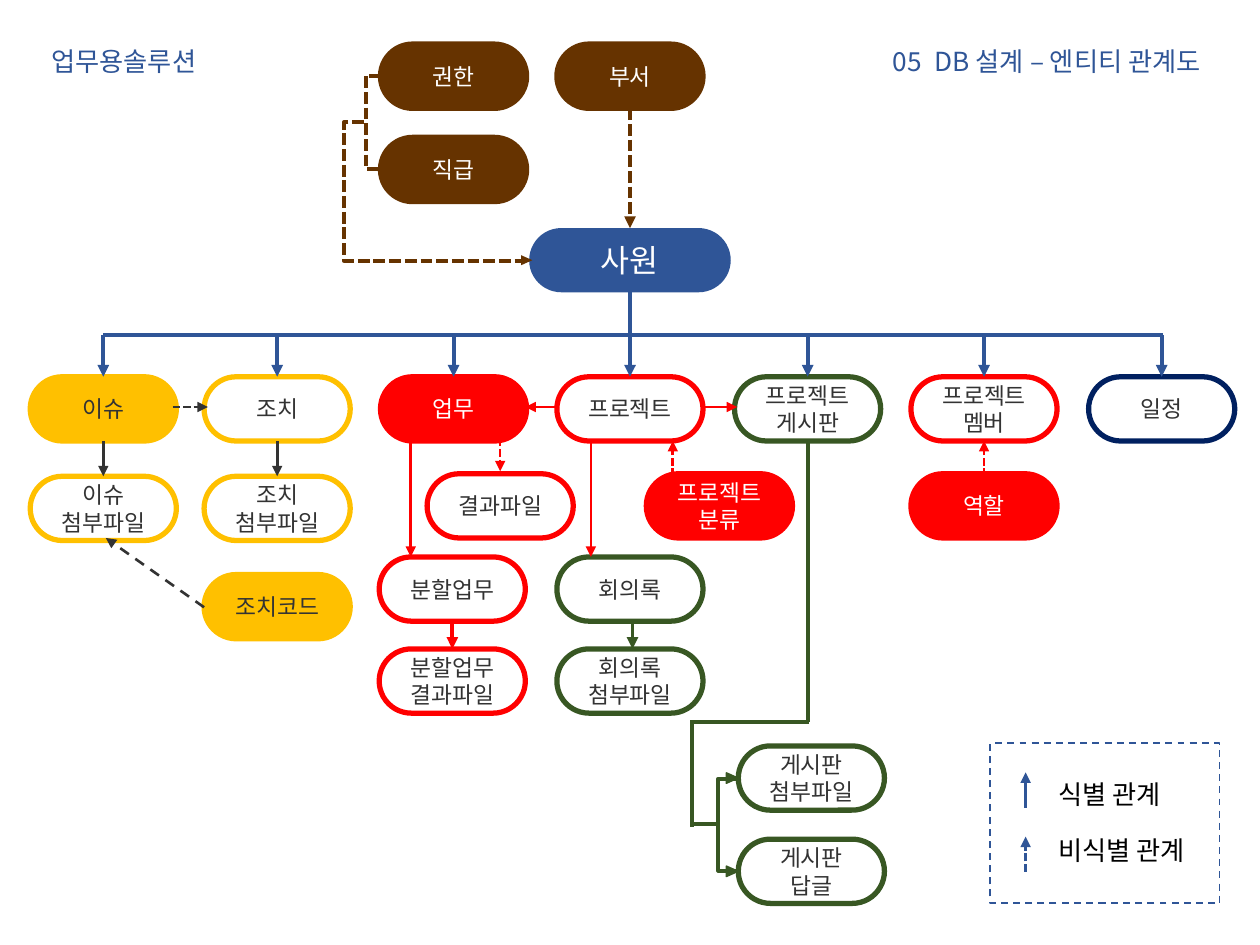
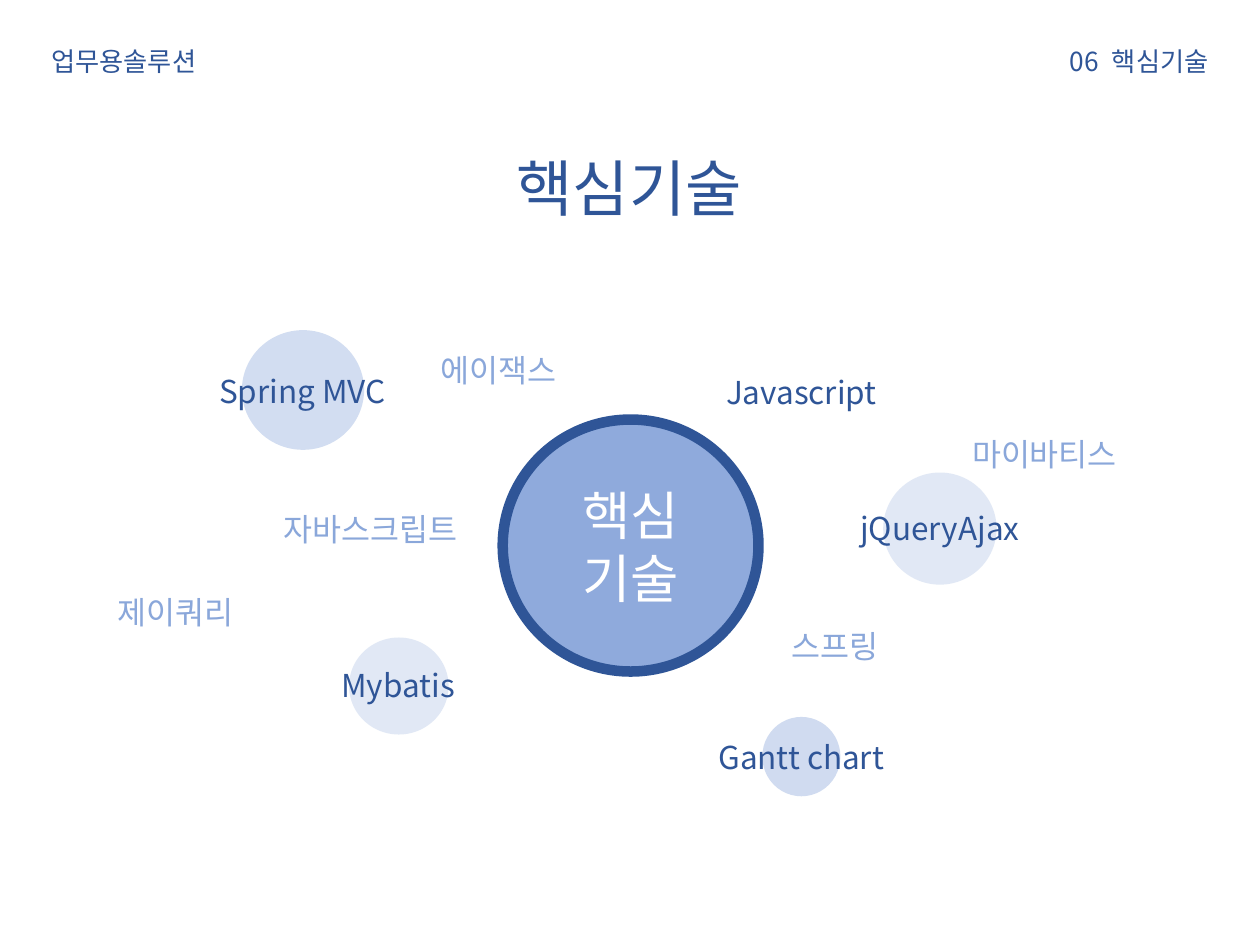
from dataclasses import dataclass
from lxml import etree
from pptx import Presentation
from pptx.dml.color import RGBColor
from pptx.enum import dml, shapes, text
from pptx.oxml.ns import qn
from pptx.util import Inches, Pt

SHAPE = shapes.MSO_SHAPE
LINK = shapes.MSO_CONNECTOR
ALIGN = text.PP_ALIGN
ANCHOR = text.MSO_ANCHOR
DASH = dml.MSO_LINE.DASH
DOTS = dml.MSO_LINE.SQUARE_DOT


@dataclass(frozen=True)
class Theme:
    font: str = "Noto Sans CJK KR"
    blue: str = "2F5597"
    sky: str = "8AA7DA"
    disc: str = "8FAADC"
    pale: str = "B4C7E7"
    navy: str = "002060"
    red: str = "FF0000"
    gold: str = "FFC000"
    green: str = "385723"
    brown: str = "663300"
    dark: str = "333333"
    black: str = "000000"
    white: str = "FFFFFF"
    label: int = 13
    head: int = 15
    term: int = 18
    core: int = 30
    title: int = 35
    thin: float = 1.5
    thick: float = 2.25


T = Theme()
NODE = (1.16, 0.51)
COLS = (0, 1.38, 2.78, 4.18, 5.59, 6.99, 8.4)
MID = NODE[0] / 2


def style(frame, size, color, align):
    for para in frame.paragraphs:
        para.alignment = align
        for run in para.runs:
            run.font.name = T.font
            run.font.size = Pt(size)
            run.font.color.rgb = RGBColor.from_string(color)
            east = etree.SubElement(run.font._element, qn("a:ea"))
            east.set("typeface", T.font)


class Pen:
    def __init__(self, slide, box):
        self.slide = slide
        self.left, self.top, self.width, self.height = box

    def place(self, x, y):
        return Inches(self.left + x), Inches(self.top + y)

    def shape(self, kind, x, y, w, h, fill=None, edge=None, weight=3, alpha=None):
        item = self.slide.shapes.add_shape(kind, *self.place(x, y), Inches(w), Inches(h))
        item.shadow.inherit = False
        if fill:
            item.fill.solid()
            item.fill.fore_color.rgb = RGBColor.from_string(fill)
        else:
            item.fill.background()
        if alpha:
            tint = item._element.spPr.find(".//" + qn("a:srgbClr"))
            etree.SubElement(tint, qn("a:alpha")).set("val", str(alpha * 1000))
        if edge:
            item.line.color.rgb = RGBColor.from_string(edge)
            item.line.width = Pt(weight)
        else:
            item.line.fill.background()
        return item

    def label(self, item, words, size, color):
        frame = item.text_frame
        frame.text = words
        frame.word_wrap = True
        frame.vertical_anchor = ANCHOR.MIDDLE
        style(frame, size, color, ALIGN.CENTER)

    def node(self, words, x, y, edge, full=False):
        item = self.shape(SHAPE.ROUNDED_RECTANGLE, x, y, *NODE, edge if full else T.white, edge)
        item.adjustments[0] = 0.5
        bright = full and edge != T.gold
        self.label(item, words, T.label, T.white if bright else T.dark)

    def note(self, words, x, y, w, h, size, color, align=ALIGN.LEFT):
        item = self.slide.shapes.add_textbox(*self.place(x, y), Inches(w), Inches(h))
        item.text_frame.word_wrap = True
        item.text_frame.text = words
        style(item.text_frame, size, color, align)
        return item.text_frame

    def title(self, words, x, y, w, h, size, align):
        item = self.slide.shapes.title
        item.left, item.top = self.place(x, y)
        item.width, item.height = Inches(w), Inches(h)
        frame = item.text_frame
        frame.text = words
        frame.word_wrap = True
        frame.auto_size = text.MSO_AUTO_SIZE.NONE
        frame.vertical_anchor = ANCHOR.TOP
        style(frame, size, T.blue, align)
        return frame

    def line(self, start, end, color, weight=T.thin, dash=None, tail=True, bend=None):
        kind = LINK.STRAIGHT if bend is None else LINK.ELBOW
        item = self.slide.shapes.add_connector(kind, *self.place(*start), *self.place(*end))
        item.line.color.rgb = RGBColor.from_string(color)
        item.line.width = Pt(weight)
        if dash:
            item.line.dash_style = dash
        props = item._element.spPr
        if tail:
            etree.SubElement(props.find(qn("a:ln")), qn("a:tailEnd")).set("type", "triangle")
        etree.SubElement(props, qn("a:effectLst"))
        if bend is not None:
            ratio = round((bend - start[0]) / (end[0] - start[0]) * 100000)
            guide = etree.SubElement(props.find(".//" + qn("a:avLst")), qn("a:gd"))
            guide.set("name", "adj1")
            guide.set("fmla", f"val {ratio}")

    def tip(self, x, y, color, edge=None):
        item = self.shape(SHAPE.ISOSCELES_TRIANGLE, x, y, 0.08, 0.09, color, edge, 1)
        item.rotation = 90


def header(slide, box, number, topic, main=False):
    pen = Pen(slide, box)
    pen.note("업무용솔루션", 0, 0, 2.94, box[3], T.head, T.blue)
    words = f"{number} {topic}"
    spot = (box[2] - 2.94, 0, 2.94, box[3], T.head)
    if main:
        frame = pen.title(words, *spot, ALIGN.RIGHT)
    else:
        frame = pen.note(words, *spot, T.blue, ALIGN.RIGHT)
    para = frame.paragraphs[0]
    para.clear()
    for part in (number, " ", topic):
        para.add_run().text = part
    style(frame, T.head, T.blue, ALIGN.RIGHT)
    para.runs[1].font._element.set("spc", "400")


def staff(slide, box):
    pen = Pen(slide, box)
    for words, x, y in (("권한", 0.3, 0), ("직급", 0.3, 0.74), ("부서", 1.7, 0)):
        pen.node(words, x, y, T.brown, True)
    hub = pen.shape(SHAPE.ROUNDED_RECTANGLE, 1.48, 1.46, 1.6, 0.51, T.blue)
    hub.adjustments[0] = 0.5
    pen.label(hub, "사원", T.term, T.white)
    pen.line((0.3, 0.25), (0.29, 0.99), T.brown, T.thick, DOTS, False, 0.18)
    pen.line((0.17, 0.62), (1.48, 1.72), T.brown, T.thick, DOTS, False, 0.01)
    pen.tip(1.42, 1.67, T.brown)
    pen.line((2.28, 0.51), (2.28, 1.46), T.brown, T.thick, DOTS)


def tree(slide, box):
    pen = Pen(slide, box)
    heads = (
        ("이슈", T.gold, True), ("조치", T.gold, False), ("업무", T.red, True),
        ("프로젝트", T.red, False), ("프로젝트\n게시판", T.green, False),
        ("프로젝트\n멤버", T.red, False), ("일정", T.navy, False),
    )
    for x, (words, color, full) in zip(COLS, heads):
        pen.node(words, x, 0.33, color, full)
    leaves = (
        ("이슈\n첨부파일", COLS[0], 1.12, T.gold, False),
        ("조치\n첨부파일", COLS[1], 1.12, T.gold, False),
        ("조치코드", COLS[1], 1.9, T.gold, True),
        ("역할", COLS[5], 1.1, T.red, True),
        ("결과파일", 3.15, 1.1, T.red, False),
        ("프로젝트\n분류", 4.89, 1.1, T.red, True),
        ("분할업무", 2.77, 1.76, T.red, False),
        ("분할업무\n결과파일", 2.77, 2.49, T.red, False),
        ("회의록", COLS[3], 1.76, T.green, False),
        ("회의록\n첨부파일", COLS[3], 2.49, T.green, False),
        ("게시판\n첨부파일", 5.62, 3.26, T.green, False),
        ("게시판\n답글", 5.62, 4, T.green, False),
    )
    for leaf in leaves:
        pen.node(*leaf)

    for x in COLS[:2]:
        pen.line((x + MID, 0.84), (x + MID, 1.12), T.dark)
    pen.line((1.38, 2.16), (0.6, 1.61), T.dark, dash=DASH)
    pen.line((1.13, 0.57), (1.41, 0.57), T.dark, dash=DOTS)
    for start, end in (((4.2, 0.57), (3.93, 0.57)), ((5.33, 0.57), (5.61, 0.57)),
                       ((4.45, 0.84), (4.45, 1.76)), ((3.02, 0.84), (3.02, 1.76))):
        pen.line(start, end, T.red)
    for x, y, end in ((7.57, 1.12, 0.84), (5.1, 1.12, 0.84), (3.73, 0.82, 1.08)):
        pen.line((x, y), (x, end), T.red, dash=DOTS)
    for x, color in ((3.35, T.red), (4.78, T.green)):
        pen.line((x, 2.27), (x, 2.49), color, T.thick)

    for start, end in (((6.17, 0.84), (6.17, 3.07)), ((6.18, 3.07), (5.24, 3.07)),
                       ((5.25, 3.07), (5.25, 3.9)), ((5.25, 3.88), (5.47, 3.88))):
        pen.line(start, end, T.green, T.thick, tail=False)
    pen.line((5.62, 3.52), (5.61, 4.25), T.green, T.thick, tail=False, bend=5.46)
    for y in (3.47, 4.21):
        pen.tip(5.53, y, T.green, T.green)

    for x in COLS:
        top = -0.34 if x == COLS[3] else 0
        pen.line((x + MID, top), (x + MID, 0.33), T.blue, T.thick)
    pen.line((MID, 0), (8.99, 0), T.blue, T.thick, tail=False)


def legend(slide, box):
    pen = Pen(slide, box)
    frame = pen.note("식별 관계\n비식별 관계", 0.44, 0.23, 1.38, 0.86, T.head, T.black)
    frame.paragraphs[1].space_before = Pt(14)
    edge = pen.shape(SHAPE.RECTANGLE, 0, 0, box[2], box[3], None, T.blue, 1)
    edge.line.dash_style = DASH
    for y, dash in ((0.51, None), (1.02, DOTS)):
        pen.line((0.28, y), (0.28, y - 0.28), T.blue, dash=dash)


def cloud(slide, box):
    pen = Pen(slide, box)
    discs = (
        (5.49, 3.07, 0.62, 0.63, T.sky), (1.36, 0, 0.97, 0.95, T.disc),
        (2.21, 2.44, 0.79, 0.77, T.pale), (6.45, 1.13, 0.9, 0.89, T.pale),
    )
    for *spot, color in discs:
        pen.shape(SHAPE.OVAL, *spot, color, alpha=40)
    core = pen.shape(SHAPE.OVAL, 3.43, 0.71, 2.03, 2, T.disc, T.blue, 6)
    pen.label(core, "핵심\n기술", T.core, T.white)
    terms = {
        T.blue: (("Spring MVC", 1.01, 0.28), ("Javascript", 4.97, 0.29),
                 ("jQueryAjax", 6.07, 1.37), ("Mybatis", 1.77, 2.62),
                 ("Gantt chart", 4.97, 3.19)),
        T.sky: (("스프링", 5.24, 2.31), ("제이쿼리", 0, 2.04), ("에이잭스", 2.57, 0.12),
                ("마이바티스", 6.9, 0.78), ("자바스크립트", 1.55, 1.38)),
    }
    for color, group in terms.items():
        for words, x, y in group:
            pen.note(words, x, y, 1.66, 0.4, T.term, color, ALIGN.CENTER)


def main():
    deck = Presentation()
    deck.slide_width, deck.slide_height = Inches(10), Inches(7.5)
    plain = deck.slide_layouts[5]

    chart = deck.slides.add_slide(plain)
    header(chart, (0.31, 0.31, 9.32, 0.35), "05", "DB 설계 – 엔티티 관계도", True)
    staff(chart, (2.72, 0.35, 3.08, 1.97))
    tree(chart, (0.24, 2.66, 9.56, 4.51))
    legend(chart, (7.86, 5.9, 1.82, 1.27))

    skills = deck.slides.add_slide(plain)
    header(skills, (0.31, 0.31, 9.38, 0.35), "06", "핵심기술")
    Pen(skills, (2.97, 1.14, 4.05, 0.69)).title("핵심기술", 0, 0, 4.05, 0.69, T.title, ALIGN.CENTER)
    cloud(skills, (0.56, 2.62, 8.56, 3.7))

    deck.save("out.pptx")


if __name__ == "__main__":
    main()
